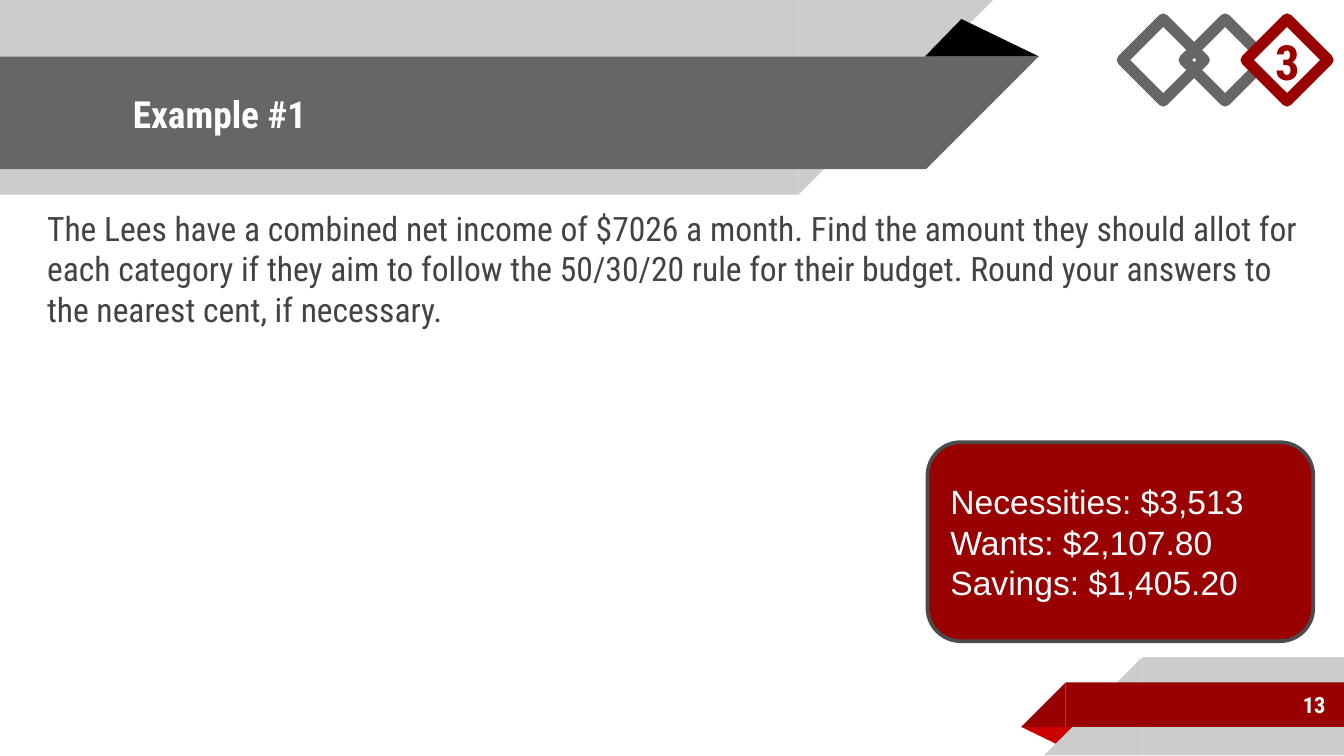
import pptx
import pptx.dml.color
import pptx.enum.shapes
import pptx.enum.text
import pptx.util

Cm = pptx.util.Cm
Pt = pptx.util.Pt
RGBColor = pptx.dml.color.RGBColor
MSO_SHAPE = pptx.enum.shapes.MSO_SHAPE
ANCHOR = pptx.enum.text.MSO_ANCHOR
ALIGN = pptx.enum.text.PP_ALIGN

WHITE = RGBColor(0xFF, 0xFF, 0xFF)
BLACK = RGBColor(0x00, 0x00, 0x00)
LIGHT_GRAY = RGBColor(0xCC, 0xCC, 0xCC)
GRAY = RGBColor(0x66, 0x66, 0x66)
DARK_GRAY = RGBColor(0x43, 0x43, 0x43)
CARD_EDGE = RGBColor(0x4B, 0x4B, 0x4B)
DARK_RED = RGBColor(0x99, 0x00, 0x00)
RED = RGBColor(0xCC, 0x00, 0x00)
HEADING_FONT = "Roboto Condensed"

deck = pptx.Presentation()
deck.slide_width, deck.slide_height = Cm(25.4), Cm(14.29)
slide = deck.slides.add_slide(deck.slide_layouts[6])


def add_figure(kind, box, fill=None, edge=None, edge_width=0, rotation=0):
    figure = slide.shapes.add_shape(kind, *map(Cm, box))
    figure.shadow.inherit = False
    figure.rotation = rotation
    if fill is None:
        figure.fill.background()
    else:
        figure.fill.solid()
        figure.fill.fore_color.rgb = fill
    if edge is None:
        figure.line.fill.background()
    else:
        figure.line.color.rgb = edge
        figure.line.width = Pt(edge_width)
    return figure


def write_text(frame, lines, color, frame_format, font_format, paragraph_format):
    frame.text = "\n".join(lines)
    for name, value in {"word_wrap": True, **frame_format}.items():
        setattr(frame, name, value)
    for paragraph in frame.paragraphs:
        for name, value in paragraph_format.items():
            setattr(paragraph, name, value)
        font = paragraph.runs[0].font
        font.color.rgb = color
        for name, value in font_format.items():
            setattr(font, name, value)


# Folds and slanted bands: each band is a rectangle with a square corner triangle
footer_fold = add_figure(MSO_SHAPE.ISOSCELES_TRIANGLE, (19.3, 13.74, 1.09, 0.36),
                         RED, rotation=180)
header_fold = add_figure(MSO_SHAPE.ISOSCELES_TRIANGLE, (17.48, 0.36, 2.16, 0.71), BLACK)
for fold in (footer_fold, header_fold):
    fold.adjustments[0] = 0.32

bands = [
    # left, top, width, height, colour, slant on the right
    (21.59, 12.42, 3.81, 1.86, LIGHT_GRAY, False),
    (20.14, 12.9, 5.26, 0.84, DARK_RED, False),
    (0, 0, 15.09, 3.68, LIGHT_GRAY, True),
    (0, 1.07, 17.5, 2.13, GRAY, True),
]
for left, top, width, height, color, slant_right in bands:
    if color == GRAY:
        # The black fold lies over the light band and under the gray one
        slide.shapes._spTree.append(header_fold._element)
    add_figure(MSO_SHAPE.RECTANGLE, (left, top, width, height), color)
    slant_left = left + width if slant_right else left - height
    add_figure(MSO_SHAPE.RIGHT_TRIANGLE, (slant_left, top, height, height), color,
               rotation=90 if slant_right else 270)

# Row of diamonds
diamonds = [(WHITE, GRAY), (None, GRAY), (WHITE, DARK_RED)]
for index, (fill, edge) in enumerate(diamonds):
    add_figure(MSO_SHAPE.DIAMOND, (21.21 + 1.17 * index, 0.36, 1.55, 1.55), fill, edge, 6)

# Title, question, page number and section number
inset = {name: Cm(0.25) for name in
         ("margin_left", "margin_top", "margin_right", "margin_bottom")}
question = ("The Lees have a combined net income of $7026 a month. "
            "Find the amount they should allot for each category if they aim to "
            "follow the 50/30/20 rule for their budget. "
            "Round your answers to the nearest cent, if necessary.")
texts = [
    ((2.26, 1.09, 15.27, 2.13), "Example #1", WHITE,
     {"vertical_anchor": ANCHOR.MIDDLE}, {"size": Pt(20), "bold": True}, {}),
    ((0.43, 3.68, 24.51, 8.74), question, DARK_GRAY,
     {"margin_left": Cm(0.46)}, {"size": Pt(18)}, {"space_before": Pt(6)}),
    ((21.16, 12.88, 4.14, 0.89), "13", WHITE,
     {"vertical_anchor": ANCHOR.MIDDLE}, {"size": Pt(12), "bold": True},
     {"alignment": ALIGN.RIGHT}),
    ((23.85, 0.13, 1.09, 1.83), "3", DARK_RED,
     {"vertical_anchor": ANCHOR.BOTTOM}, {"size": Pt(26), "bold": True}, {}),
]
for box, words, color, frame_format, font_format, paragraph_format in texts:
    label = slide.shapes.add_textbox(*map(Cm, box))
    write_text(label.text_frame, [words], color, {**inset, **frame_format},
               {"name": HEADING_FONT, **font_format}, paragraph_format)

# Answer card
answers = add_figure(MSO_SHAPE.FLOWCHART_ALTERNATE_PROCESS, (17.53, 8.36, 7.29, 3.76),
                     DARK_RED, CARD_EDGE, 2)
write_text(answers.text_frame,
           ["Necessities: $3,513", "Wants: $2,107.80", "Savings: $1,405.20"], WHITE,
           {"vertical_anchor": ANCHOR.MIDDLE}, {"name": "Arial", "size": Pt(18)},
           {"alignment": ALIGN.LEFT})

deck.save("out.pptx")
